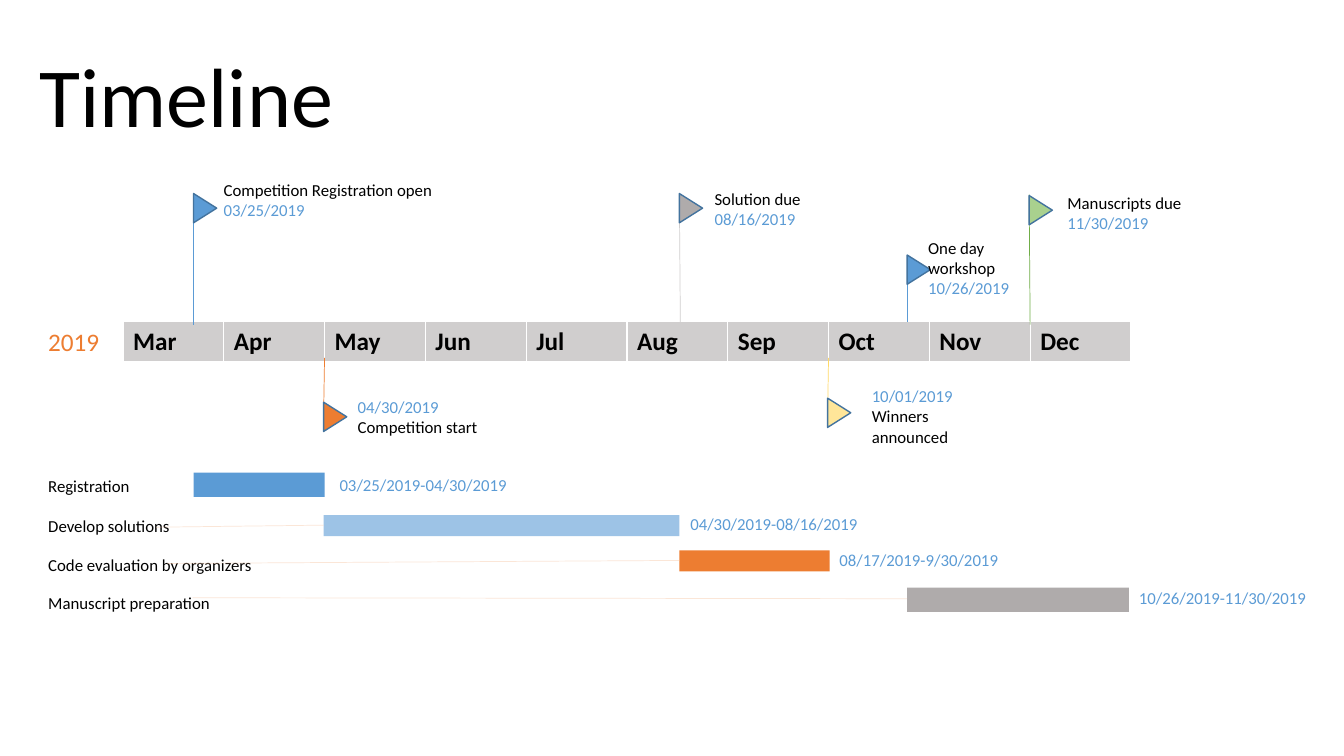
from lxml import etree
from pptx import Presentation
from pptx import util as u
from pptx.dml import color
from pptx.enum import shapes, text
from pptx.oxml import ns

BLUE, ORANGE, GREY, BLACK = "5B9BD5", "ED7D31", "AFABAB", "000000"
MONTHS = "Mar Apr May Jun Jul Aug Sep Oct Nov Dec".split()
WIDE, HIGH = 20.88, 16.56  # flag size before its quarter turn

# pole x at both ends, pole top and bottom, flag top, pole colour, flag colour
FLAGS = [
    (138.24, 138.24, 139, 231.84, 140.4, BLUE, BLUE),
    (485.28, 486, 140.4, 234, 140.4, "D0CECE", GREY),
    (648, 648, 182.16, 229.68, 184.32, BLUE, BLUE),
    (735.12, 735.84, 139, 231.84, 141.84, "70AD47", "A9D18E"),
    (231.84, 231.12, 255.6, 298.8, 289.44, ORANGE, ORANGE),
    (591.84, 591.12, 255.6, 298.8, 286.56, "FFD966", "FFE699"),
]
# left, top, width, lines with colours
NOTES = [
    (152.64, 124.56, 168, ("Competition Registration open", BLACK), ("03/25/2019", BLUE)),
    (503.28, 131.04, 120, ("Solution due", BLACK), ("08/16/2019", BLUE)),
    (655.92, 166.32, 81.36, ("One day workshop", BLACK), ("10/26/2019", BLUE)),
    (755.28, 133.92, 109.44, ("Manuscripts due", BLACK), ("11/30/2019", BLUE)),
    (248.4, 280.08, 104, ("04/30/2019", BLUE), ("Competition start", BLACK)),
    (615.6, 272.16, 84.96, ("10/01/2019", BLUE), ("Winners announced", BLACK)),
]
# label, its top, bar left, top, width, height, colour, dates, their left and top
TASKS = [
    ("Registration", 336.24, 138.24, 337.68, 93.6, 17.28, BLUE,
     "03/25/2019-04/30/2019", 235.44, 335.52),
    ("Develop solutions", 365.04, 231.12, 367.92, 254.16, 15.12, "9DC3E6",
     "04/30/2019-08/16/2019", 486, 363.6),
    ("Code evaluation by organizers", 392.4, 485.28, 393.12, 107.28, 15.12, ORANGE,
     "08/17/2019-9/30/2019", 592.56, 388.8),
    ("Manuscript preparation", 419.76, 648, 419.76, 158.4, 17.28, GREY,
     "10/26/2019-11/30/2019", 806.4, 416.16),
]
LEADS = [(111.6, 376.56, 231.12, 375.12), (119.52, 402.48, 485.28, 400.32),
         (137.52, 426.96, 648, 427.68)]


def rgb(code):
    return color.RGBColor.from_string(code)


def style(par, size, code, bold=False):
    for run in par.runs:
        font = run.font
        font.name, font.size, font.bold = "Calibri", u.Pt(size), bold
        font.color.rgb = rgb(code)


def label(slide, left, top, width, *lines, size=12):
    box = slide.shapes.add_textbox(u.Pt(left), u.Pt(top), u.Pt(width), u.Pt(21.6))
    frame = box.text_frame
    frame.word_wrap = True
    frame.text = "\n".join(line for line, _ in lines)
    for par, (_, code) in zip(frame.paragraphs, lines):
        style(par, size, code)


def block(slide, kind, left, top, width, height, fill, edge=None):
    item = slide.shapes.add_shape(kind, u.Pt(left), u.Pt(top), u.Pt(width), u.Pt(height))
    item.shadow.inherit = False
    item.fill.solid()
    item.fill.fore_color.rgb = rgb(fill)
    if edge:
        item.line.color.rgb = rgb(edge)
        item.line.width = u.Pt(1)
    else:
        item.line.fill.background()
    return item


def rule(slide, x1, y1, x2, y2, code, alpha=None):
    line = slide.shapes.add_connector(
        shapes.MSO_CONNECTOR.STRAIGHT, u.Pt(x1), u.Pt(y1), u.Pt(x2), u.Pt(y2))
    line.line.color.rgb = rgb(code)
    line.line.width = u.Pt(0.5)
    props = line._element.spPr
    etree.SubElement(props, ns.qn("a:effectLst"))
    if alpha:
        tint = props.find(".//" + ns.qn("a:srgbClr"))
        etree.SubElement(tint, ns.qn("a:alpha"), val=str(alpha * 1000))


def flag(slide, x1, x2, top, base, y, pole, fill):
    rule(slide, x1, top, x2, base, pole)
    left = min(x1, x2) - (WIDE - HIGH) / 2
    item = block(slide, shapes.MSO_SHAPE.ISOSCELES_TRIANGLE, left, y, WIDE, HIGH, fill, "43739E")
    item.rotation = 90


def border(cell):
    props = cell._tc.get_or_add_tcPr()
    for spot, (side, width) in enumerate([("L", 1), ("R", 1), ("T", 1), ("B", 3)]):
        line = etree.Element(ns.qn("a:ln" + side), w=str(u.Pt(width)))
        fill = etree.SubElement(line, ns.qn("a:solidFill"))
        etree.SubElement(fill, ns.qn("a:srgbClr"), val="FFFFFF")
        props.insert(spot, line)


def months(slide):
    grid = slide.shapes.add_table(
        1, len(MONTHS), u.Pt(87.84), u.Pt(229.68), u.Pt(720), u.Pt(29.52)).table
    for cell, name in zip(grid.rows[0].cells, MONTHS):
        cell.text = name
        style(cell.text_frame.paragraphs[0], 18, BLACK, True)
        cell.fill.solid()
        cell.fill.fore_color.rgb = rgb("D0CECE")
        border(cell)


def title(slide, words):
    head = slide.shapes.title
    head.left, head.top = u.Pt(2.16), u.Pt(2.88)
    head.width, head.height = u.Pt(262.08), u.Pt(105.12)
    frame = head.text_frame
    frame.text = words
    frame.vertical_anchor = text.MSO_ANCHOR.BOTTOM
    par = frame.paragraphs[0]
    par.alignment = text.PP_ALIGN.CENTER
    par.line_spacing = 0.9
    style(par, 60, BLACK)


def main():
    deck = Presentation()
    deck.slide_width, deck.slide_height = u.Pt(960), u.Pt(540)
    slide = deck.slides.add_slide(deck.slide_layouts[5])
    title(slide, "Timeline")

    # Month band
    months(slide)
    label(slide, 27.36, 229.68, 64, ("2019", ORANGE), size=18)

    # Milestones
    for item in FLAGS:
        flag(slide, *item)
    for note in NOTES:
        label(slide, *note)

    # Task bars
    for name, y, left, top, width, height, fill, dates, x, line in TASKS:
        label(slide, 27.36, y, 190, (name, BLACK))
        block(slide, shapes.MSO_SHAPE.RECTANGLE, left, top, width, height, fill)
        label(slide, x, line, 138, (dates, BLUE))
    for lead in LEADS:
        rule(slide, *lead, "F8CBAD", 47)

    deck.save("out.pptx")


main()
